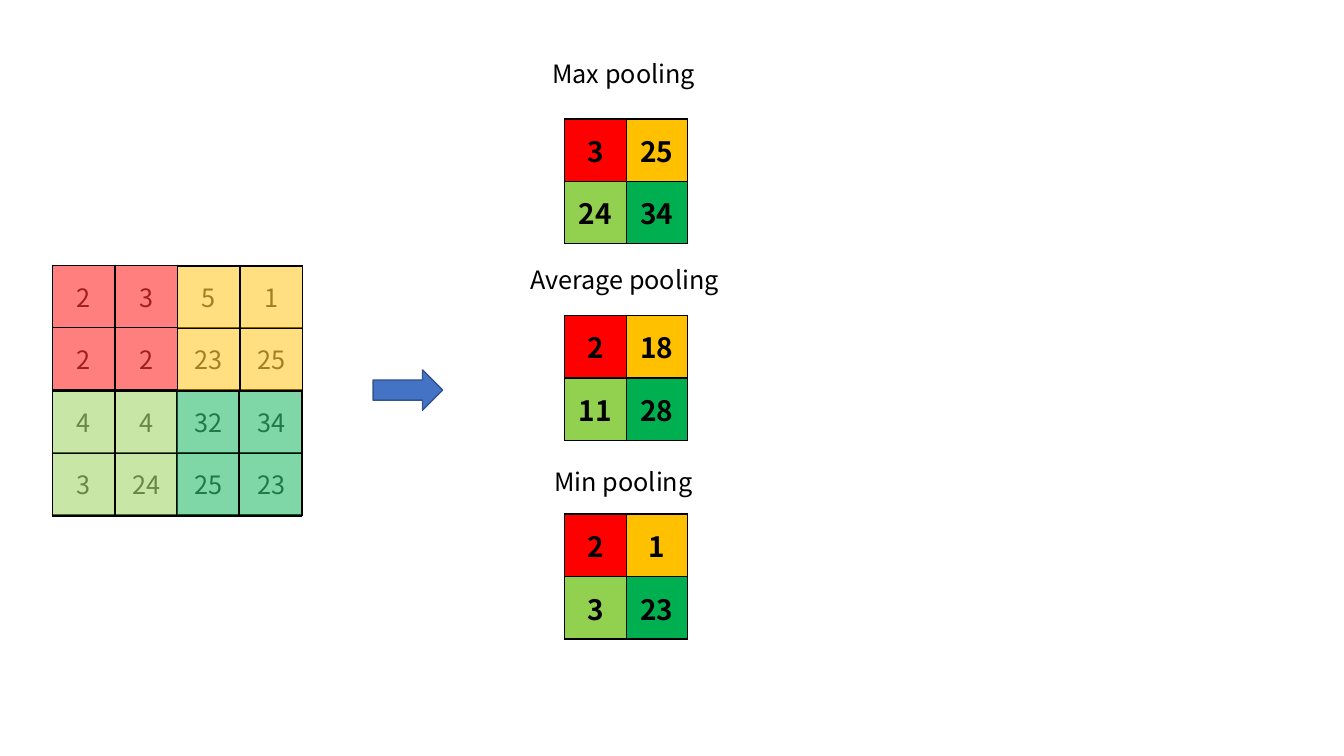
"""Build a slide that compares max, average and min pooling of a 4 by 4 grid."""
from lxml import etree
from pptx import Presentation
from pptx import util as u
from pptx.dml import color
from pptx.enum import shapes, text
from pptx.oxml import ns

FONT = "Noto Sans CJK KR"
COLORS = {
    "black": "000000", "gray": "404040", "red": "FF0000", "amber": "FFC000",
    "lime": "92D050", "green": "00B050", "blue": "4472C4", "navy": "325491",
}
QUADRANTS = [["red", "amber"], ["lime", "green"]]
CELL = 0.62
POOLED_WIDTH = 0.61
POOLED_LEFT = 5.6
INPUT_VALUES = [[2, 3, 5, 1], [2, 2, 23, 25], [4, 4, 32, 34], [3, 24, 25, 23]]
TINTS = [
    ("red", 0.52, 2.63), ("lime", 0.52, 3.88),
    ("green", 1.75, 3.88), ("amber", 1.76, 2.64),
]
POOLINGS = [
    ("Max pooling", 5.38, 0.53, 1.64, 1.18, [[3, 25], [24, 34]]),
    ("Average pooling", 5.16, 2.57, 2.09, 3.13, [[2, 18], [11, 28]]),
    ("Min pooling", 5.4, 4.58, 1.6, 5.1, [[2, 1], [3, 23]]),
]


def rgb(name):
    """Return the named colour."""
    return color.RGBColor.from_string(COLORS[name])


def style_font(font, size, name="black", bold=False):
    """Set typeface, size, colour and weight."""
    font.name = FONT
    font.size = u.Pt(size)
    font.bold = bold
    font.color.rgb = rgb(name)


def add_borders(cell):
    """Draw a thin black line on each side of a cell."""
    properties = cell._tc.get_or_add_tcPr()
    for side in ("a:lnL", "a:lnR", "a:lnT", "a:lnB"):
        line = etree.SubElement(properties, ns.qn(side), w=str(u.Pt(1)))
        solid = etree.SubElement(line, ns.qn("a:solidFill"))
        etree.SubElement(solid, ns.qn("a:srgbClr"), val=COLORS["black"])


def fill_cell(cell, name, opacity):
    """Fill a cell, or leave it clear when no colour is named."""
    if name is None:
        cell.fill.background()
        return
    cell.fill.solid()
    cell.fill.fore_color.rgb = rgb(name)
    if opacity < 100:
        tone = cell._tc.tcPr.find(ns.qn("a:solidFill"))[0]
        etree.SubElement(tone, ns.qn("a:alpha"), val=str(opacity * 1000))


def add_grid(slide, left, top, width, values, fills, opacity=100, **font):
    """Add a bordered table of centred values with one colour per cell."""
    rows, columns = len(fills), len(fills[0])
    table = slide.shapes.add_table(
        rows, columns, u.Inches(left), u.Inches(top),
        u.Inches(width * columns), u.Inches(CELL * rows)).table
    table.first_row = table.horz_banding = False
    for row in range(rows):
        for column in range(columns):
            cell = table.cell(row, column)
            add_borders(cell)
            fill_cell(cell, fills[row][column], opacity)
            if values:
                cell.text = str(values[row][column])
                cell.vertical_anchor = text.MSO_ANCHOR.MIDDLE
                para = cell.text_frame.paragraphs[0]
                para.alignment = text.PP_ALIGN.CENTER
                style_font(para.font, **font)


def add_label(slide, words, left, top, width):
    """Add a one-line heading."""
    box = slide.shapes.add_textbox(
        u.Inches(left), u.Inches(top), u.Inches(width), u.Inches(0.4))
    frame = box.text_frame
    frame.word_wrap = False
    frame.auto_size = text.MSO_AUTO_SIZE.SHAPE_TO_FIT_TEXT
    frame.text = words
    style_font(frame.paragraphs[0].font, 18)


def add_arrow(slide):
    """Add the block arrow from the input to the results."""
    arrow = slide.shapes.add_shape(
        shapes.MSO_SHAPE.RIGHT_ARROW, u.Inches(3.7), u.Inches(3.67),
        u.Inches(0.69), u.Inches(0.4))
    arrow.shadow.inherit = False
    arrow.fill.solid()
    arrow.fill.fore_color.rgb = rgb("blue")
    arrow.line.color.rgb = rgb("navy")
    arrow.line.width = u.Pt(1)


def main():
    """Build and save the deck."""
    deck = Presentation()
    deck.slide_width = u.Inches(13.33)
    deck.slide_height = u.Inches(7.5)
    slide = deck.slides.add_slide(deck.slide_layouts[6])
    add_grid(slide, 0.52, 2.63, CELL, INPUT_VALUES, [[None] * 4] * 4,
             size=18, name="gray")
    for name, left, top in TINTS:
        add_grid(slide, left, top, CELL, None, [[name] * 2] * 2, opacity=50)
    add_arrow(slide)
    for words, left, top, width, grid_top, values in POOLINGS:
        add_label(slide, words, left, top, width)
        add_grid(slide, POOLED_LEFT, grid_top, POOLED_WIDTH, values, QUADRANTS,
                 size=20, bold=True)
    deck.save("out.pptx")


if __name__ == "__main__":
    main()
